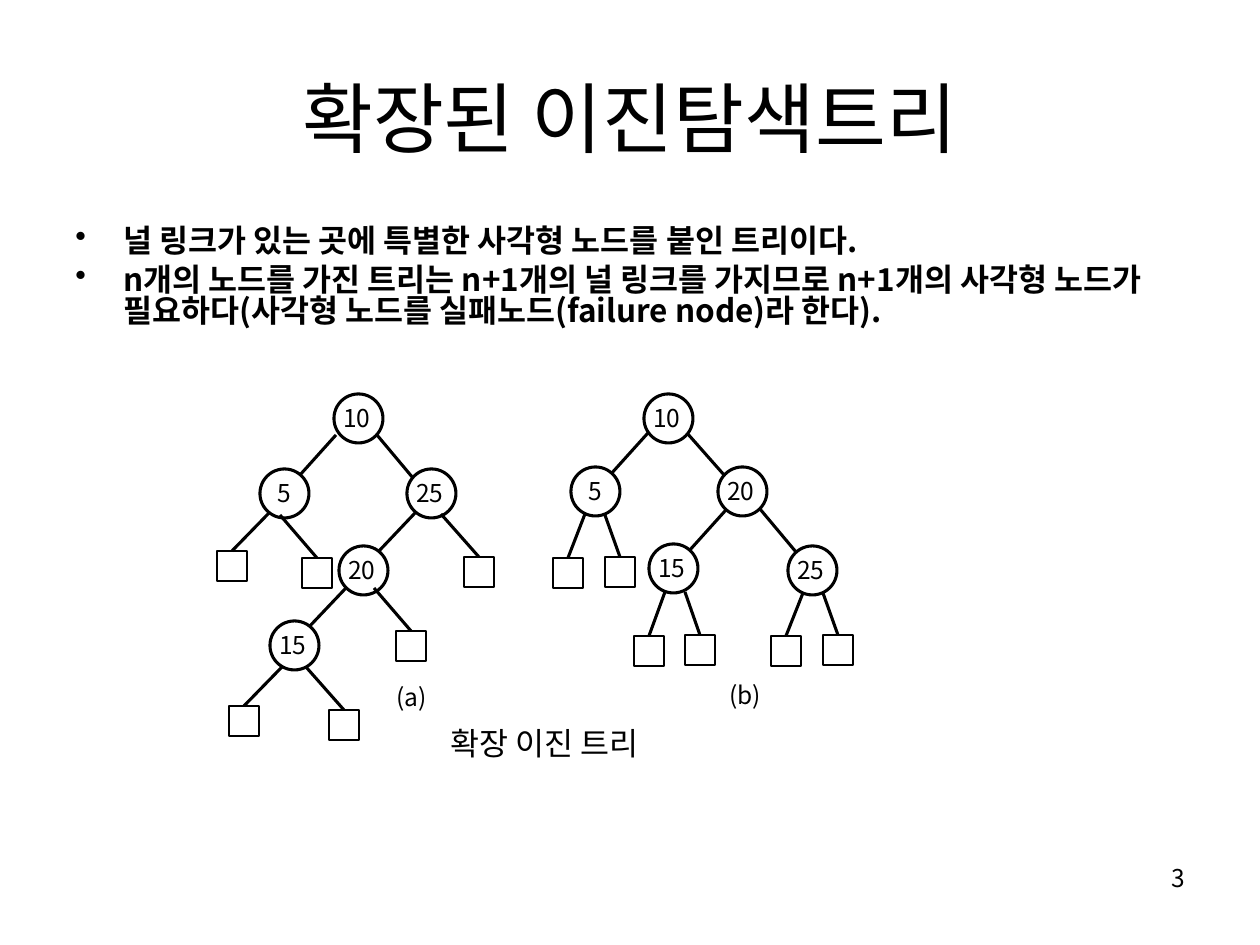
from lxml.etree import SubElement as Sub
from pptx import Presentation
from pptx.dml.color import RGBColor
from pptx.enum.shapes import MSO_CONNECTOR as Link, MSO_SHAPE as Preset
from pptx.enum.text import MSO_ANCHOR as Anchor, PP_ALIGN as Align
from pptx.oxml.ns import qn
from pptx.util import Emu, Pt

SCALE = 914400 // 126
INK = "000000"
FONT = "Noto Sans CJK KR"


def px(length):
    return Emu(length * SCALE)


def color(code):
    return RGBColor.from_string(code)


class TreeSlide:
    node_size = 49
    leaf_size = 30
    indent = 48

    def __init__(self, deck):
        self.slide = deck.slides.add_slide(deck.slide_layouts[6])

    def text(self, x, y, w, h, lines, size, bold=False, align=Align.LEFT,
             anchor=Anchor.TOP, spacing=0.88, bullet=None):
        frame = self.slide.shapes.add_textbox(px(x), px(y), px(w), px(h)).text_frame
        frame.word_wrap = True
        frame.vertical_anchor = anchor
        for index, line in enumerate(lines):
            paragraph = frame.add_paragraph() if index else frame.paragraphs[0]
            if bullet:
                self.bullet(paragraph, bullet)
            paragraph.alignment = align
            paragraph.line_spacing = spacing
            if index:
                paragraph.space_before = Pt(4.5)
            run = paragraph.add_run()
            run.text = line
            run.font.size = Pt(size)
            run.font.bold = bold
            run.font.name = FONT
            run.font.color.rgb = color(INK)
            Sub(run.font._element, qn("a:ea"), typeface=FONT)

    def bullet(self, paragraph, mark):
        props = paragraph._p.get_or_add_pPr()
        props.set("marL", str(px(self.indent)))
        props.set("indent", str(-px(self.indent)))
        Sub(Sub(props, qn("a:buClr")), qn("a:srgbClr"), val=INK)
        Sub(props, qn("a:buChar"), char=mark)

    def outline(self, preset, x, y, size, weight):
        shape = self.slide.shapes.add_shape(preset, px(x), px(y), px(size), px(size))
        shape.shadow.inherit = False
        shape.fill.background()
        shape.line.color.rgb = color(INK)
        shape.line.width = Pt(weight)
        return shape

    def node(self, x, y, key):
        self.outline(Preset.OVAL, x, y, self.node_size, 1.75)
        shift = 5 if len(key) == 1 else -3
        self.text(x + shift, y + 7, 59, 43, [key], 14)

    def edge(self, x1, y1, x2, y2):
        line = self.slide.shapes.add_connector(Link.STRAIGHT, px(x1), px(y1), px(x2), px(y2))
        line.line.color.rgb = color(INK)
        line.line.width = Pt(1.75)
        Sub(line._element.spPr, qn("a:effectLst"))
        return line

    def leaf(self, start_x, start_y, x, y):
        square = self.outline(Preset.RECTANGLE, x, y, self.leaf_size, 0.75)
        self.edge(start_x, start_y, x + self.leaf_size // 2, y).end_connect(square, 0)

    def tree(self, nodes, edges, leaves):
        for node in nodes:
            self.node(*node)
        for edge in edges:
            self.edge(*edge)
        for leaf in leaves:
            self.leaf(*leaf)


def main():
    deck = Presentation()
    deck.slide_width, deck.slide_height = px(1260), px(945)
    page = TreeSlide(deck)

    page.text(63, 38, 1134, 157, ["확장된 이진탐색트리"], 44,
              align=Align.CENTER, anchor=Anchor.MIDDLE, spacing=1.0)
    page.text(63, 221, 1113, 624, [
        "널 링크가 있는 곳에 특별한 사각형 노드를 붙인 트리이다.",
        "n개의 노드를 가진 트리는 n+1개의 널 링크를 가지므로 n+1개의 사각형 "
        "노드가 필요하다(사각형 노드를 실패노드(failure node)라 한다).",
    ], 18, bold=True, spacing=0.83, bullet="•")

    page.tree(
        nodes=[(334, 394, "10"), (260, 469, "5"), (407, 469, "25"),
               (339, 546, "20"), (270, 621, "15")],
        edges=[(336, 435, 300, 475), (377, 435, 413, 478),
               (416, 512, 379, 551), (347, 587, 309, 627)],
        leaves=[(270, 512, 217, 551), (280, 515, 302, 558), (441, 514, 464, 557),
                (374, 588, 396, 631), (282, 667, 229, 706), (306, 667, 329, 710)])
    page.tree(
        nodes=[(644, 394, "10"), (571, 467, "5"), (718, 467, "20"),
               (649, 544, "15"), (788, 546, "25")],
        edges=[(648, 433, 611, 474), (687, 433, 725, 476),
               (726, 510, 689, 551), (760, 509, 796, 552)],
        leaves=[(585, 514, 553, 558), (605, 515, 605, 557), (665, 592, 634, 636),
                (685, 592, 685, 635), (803, 593, 771, 636), (823, 593, 823, 635)])

    page.text(384, 680, 69, 43, ["(a)"], 14)
    page.text(717, 678, 69, 43, ["(b)"], 14)
    page.text(438, 723, 248, 50, ["확장 이진 트리"], 18)
    page.text(903, 861, 294, 66, ["3"], 14, align=Align.RIGHT)
    deck.save("out.pptx")


if __name__ == "__main__":
    main()
